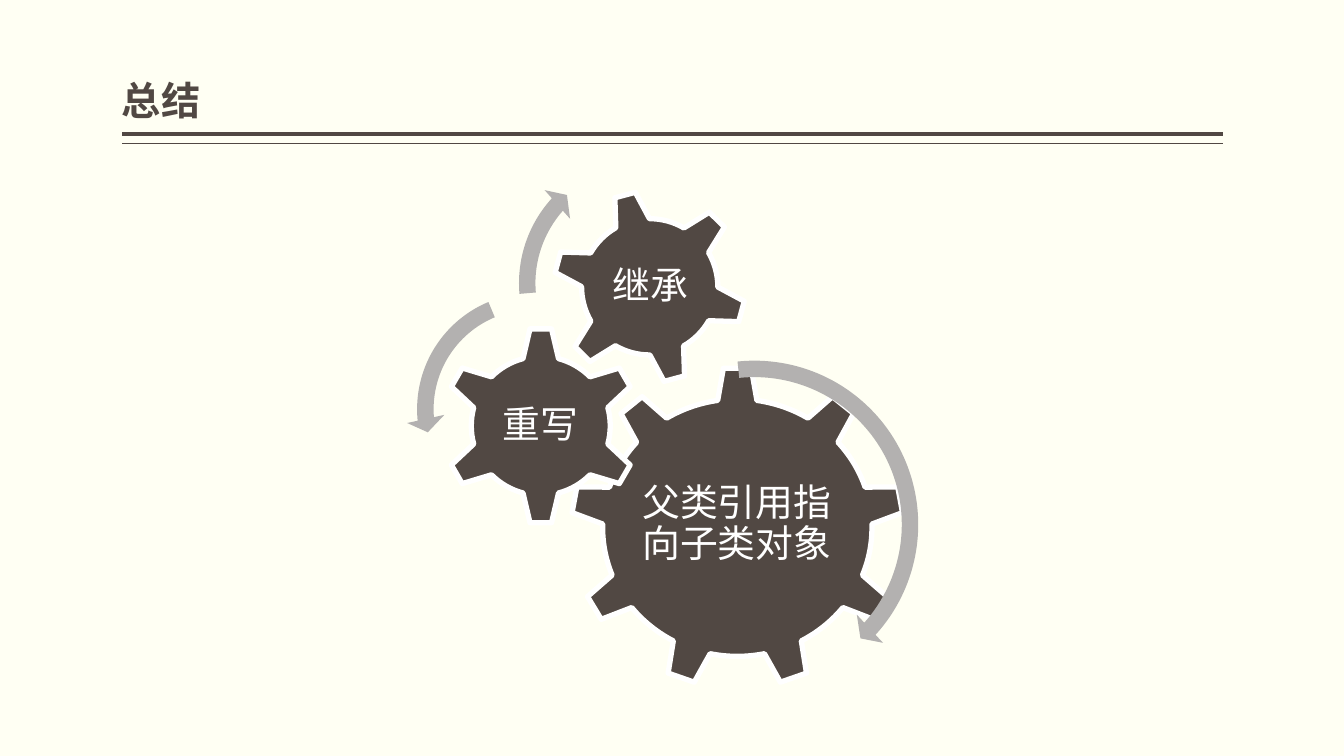
from pptx import Presentation
from pptx.dml.color import RGBColor
from pptx.enum.lang import MSO_LANGUAGE_ID
from pptx.enum.shapes import MSO_CONNECTOR, MSO_SHAPE
from pptx.enum.text import MSO_ANCHOR, PP_ALIGN
from pptx.oxml.ns import qn
from pptx.util import Pt
from lxml import etree

BROWN, GREY, WHITE, CREAM = "514843", "B3B1B0", "FFFFFF", "FFFFF3"
LEFT, RIGHT = 87.1, 873.4


def rgb(color):
    return RGBColor.from_string(color)


def add_rule(s, y, width):
    line = s.shapes.add_connector(MSO_CONNECTOR.STRAIGHT, Pt(RIGHT), Pt(y), Pt(LEFT), Pt(y))
    line.line.color.rgb = rgb(BROWN)
    line.line.width = Pt(width)
    etree.SubElement(line._element.spPr, qn("a:effectLst"))


def add_text(s, box, text, size, font, color, anchor, align, insets, bold=False):
    """Add a wrapped text box; insets are horizontal and vertical."""
    tf = s.shapes.add_textbox(*map(Pt, box)).text_frame
    tf.word_wrap = True
    tf.vertical_anchor = anchor
    tf.margin_left = tf.margin_right = Pt(insets[0])
    tf.margin_top = tf.margin_bottom = Pt(insets[1])
    tf.text = text
    p = tf.paragraphs[0]
    p.alignment = align
    p.line_spacing = 0.9
    r = p.runs[0]
    r.font.size = Pt(size)
    r.font.bold = bold
    r.font.name = font
    r.font.color.rgb = rgb(color)
    r.font.language_id = MSO_LANGUAGE_ID.SIMPLIFIED_CHINESE
    latin = r._r.rPr.find(qn("a:latin"))
    east_asian = latin.makeelement(qn("a:ea"), {"typeface": font})
    latin.addnext(east_asian)


def add_filled(s, kind, box, color):
    sp = s.shapes.add_shape(kind, *map(Pt, box))
    sp.shadow.inherit = False
    sp.fill.solid()
    sp.fill.fore_color.rgb = rgb(color)
    return sp


def add_gear(s, kind, box, rotation, text, text_box):
    sp = add_filled(s, kind, box, BROWN)
    sp.rotation = rotation
    sp.line.color.rgb = rgb(WHITE)
    sp.line.width = Pt(3.78)
    add_text(s, text_box, text, 27, "Calibri", WHITE,
             MSO_ANCHOR.MIDDLE, PP_ALIGN.CENTER, (2.7, 2.7))


def add_turn_arrow(s, kind, left, top, size, thickness, angles, head):
    """Add a circular arrow; thickness and head in percent, angles in degrees."""
    sp = add_filled(s, kind, (left, top, size, size), GREY)
    sp.line.fill.background()
    # One adjustment unit is 100000, one degree is 60000.
    values = [thickness / 100, *(angle * 0.6 for angle in angles), head / 100]
    for i, value in enumerate(values):
        sp.adjustments[i] = value


def main():
    prs = Presentation()
    prs.slide_width, prs.slide_height = Pt(960), Pt(540)
    s = prs.slides.add_slide(prs.slide_layouts[6])
    s.background.fill.solid()
    s.background.fill.fore_color.rgb = rgb(CREAM)

    add_rule(s, 95.8, 3)
    add_rule(s, 102.5, 1)
    add_text(s, (LEFT, 5.8, RIGHT - LEFT, 86.4), "总结", 28, "Noto Sans CJK SC", BROWN,
             MSO_ANCHOR.BOTTOM, PP_ALIGN.LEFT, (0, 3.6), bold=True)

    gears = [
        (MSO_SHAPE.GEAR_9, (407.5, 262.1, 238.3, 229.7), 0,
         "父类引用指向子类对象", (454.3, 316.1, 144, 118.1)),
        (MSO_SHAPE.GEAR_6, (315.4, 233.3, 141.8, 141.8), 0,
         "重写", (350.6, 269.3, 70.6, 69.8)),
        (MSO_SHAPE.GEAR_6, (394.6, 135.4, 139, 139), 345,
         "继承", (425.5, 165.6, 78.5, 78.5)),
    ]
    for gear in gears:
        add_gear(s, *gear)

    arrows = [
        (MSO_SHAPE.CIRCULAR_ARROW, 414, 249.8, 249.8, 4.7, (4.98, 42.06, 264.1), 5.5),
        (MSO_SHAPE.LEFT_CIRCULAR_ARROW, 290.2, 201.6, 181.4, 6.5, (7.17, 174.82, 247.3), 7.5),
        (MSO_SHAPE.CIRCULAR_ARROW, 362.9, 104.4, 195.8, 6, (6.57, 221.9, 175.14), 7),
    ]
    for arrow in arrows:
        add_turn_arrow(s, *arrow)

    prs.save("out.pptx")


if __name__ == "__main__":
    main()
